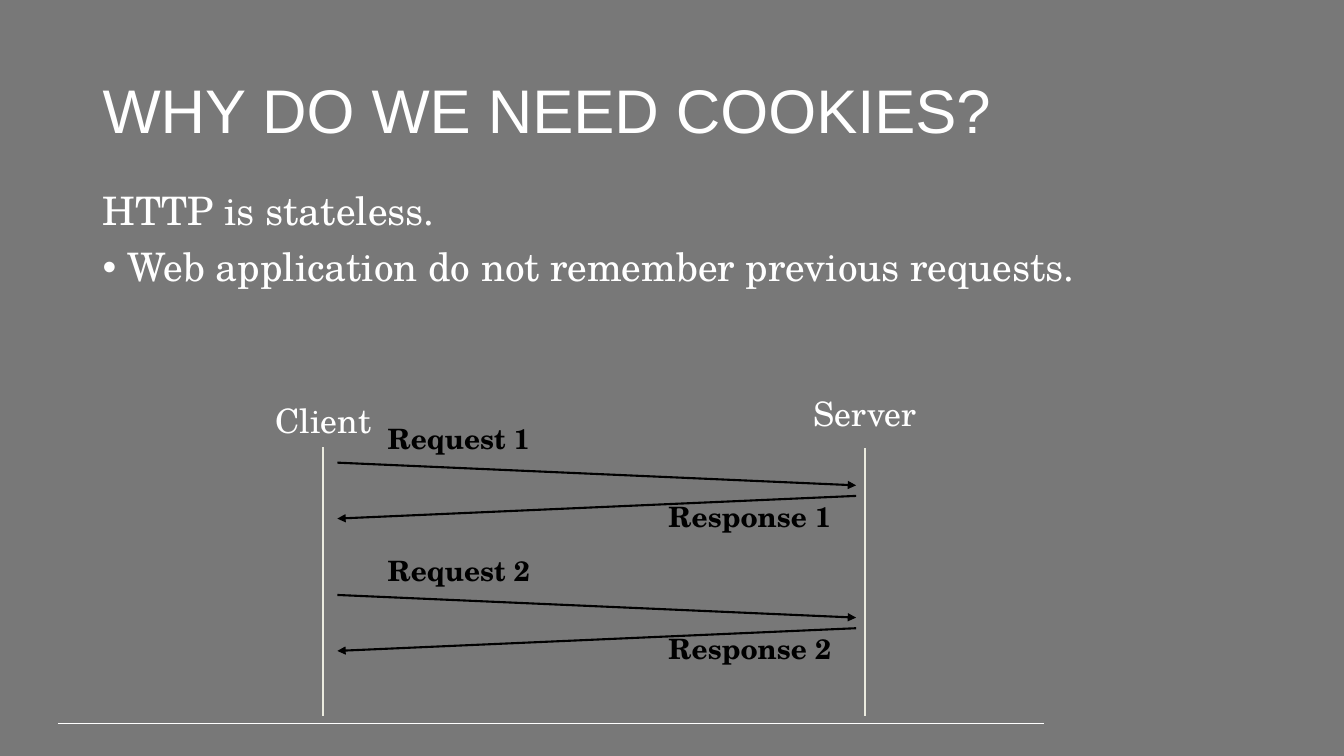
"""Build the slide that shows why a stateless protocol needs cookies."""
from dataclasses import dataclass

from lxml import etree
from pptx import Presentation
from pptx.dml.color import RGBColor
from pptx.enum.shapes import MSO_CONNECTOR
from pptx.enum.text import MSO_ANCHOR, PP_ALIGN
from pptx.oxml.ns import qn
from pptx.util import Inches, Pt

STRAIGHT = MSO_CONNECTOR.STRAIGHT
LEFT, CENTER = PP_ALIGN.LEFT, PP_ALIGN.CENTER
TOP, MIDDLE = MSO_ANCHOR.TOP, MSO_ANCHOR.MIDDLE
SANS, SERIF = "Arial", "TeX Gyre Schola"
GRAY, WHITE, BLACK, IVORY = "787878", "FFFFFF", "000000", "EBEBDF"

deck = Presentation()
deck.slide_width, deck.slide_height = Inches(13.33), Inches(7.5)
page = deck.slides.add_slide(deck.slide_layouts[6])


@dataclass
class Area:
    """Position and size in percent of the slide."""
    left: float
    top: float
    width: float
    height: float


@dataclass
class Lifeline:
    name: str
    x: float
    label_top: float
    line_top: float


@dataclass
class Message:
    name: str
    start_x: float
    end_x: float
    drop: float
    label: Area


def across(percent: float) -> int:
    return round(deck.slide_width * percent / 100)


def down(percent: float) -> int:
    return round(deck.slide_height * percent / 100)


def color(code: str) -> RGBColor:
    return RGBColor.from_string(code)


def add_bullet(para, indent: float) -> None:
    properties = para._p.get_or_add_pPr()
    properties.set("marL", str(Inches(indent)))
    properties.set("indent", str(-Inches(indent)))
    etree.SubElement(properties, qn("a:buFont")).set("typeface", "Arial")
    etree.SubElement(properties, qn("a:buChar")).set("char", "•")


def add_text(text: str, area: Area, *, size: float, font: str = SERIF,
             ink: str = WHITE, bold: bool = False, align=LEFT, anchor=TOP,
             bullets: bool = False) -> None:
    box = page.shapes.add_textbox(across(area.left), down(area.top),
                                  across(area.width), down(area.height))
    frame = box.text_frame
    frame.word_wrap = True
    frame.vertical_anchor = anchor
    frame.text = text
    for number, para in enumerate(frame.paragraphs):
        para.alignment = align
        para.line_spacing = 0.9
        if number:
            para.space_before = Pt(10)
        if number and bullets:
            add_bullet(para, 0.25)
        for span in para.runs:
            span.font.name = font
            span.font.size = Pt(size)
            span.font.bold = bold
            span.font.color.rgb = color(ink)


def add_line(start: tuple[float, float], end: tuple[float, float], ink: str,
             weight: float = 1.5, arrow: bool = False) -> None:
    line = page.shapes.add_connector(STRAIGHT, across(start[0]), down(start[1]),
                                     across(end[0]), down(end[1]))
    line.line.color.rgb = color(ink)
    line.line.width = Pt(weight)
    if arrow:
        outline = line.line._get_or_add_ln()
        etree.SubElement(outline, qn("a:tailEnd")).set("type", "triangle")
    etree.SubElement(line._element.spPr, qn("a:effectLst"))


def add_lifeline(lifeline: Lifeline) -> None:
    width = 13.1
    add_text(lifeline.name,
             Area(lifeline.x - width / 2, lifeline.label_top, width, 6.1),
             size=24, align=CENTER)
    add_line((lifeline.x, lifeline.line_top), (lifeline.x, 94.7), IVORY)


def add_message(message: Message, number: int, top: float) -> None:
    start = top + message.drop
    add_line((message.start_x, start), (message.end_x, start + 3), BLACK, arrow=True)
    label = message.label
    add_text(f"{message.name} {number}",
             Area(label.left, top + label.top, label.width, label.height),
             size=20, ink=BLACK, bold=True)


LIFELINES = [Lifeline("Client", 24.05, 52.8, 59.1),
             Lifeline("Server", 64.35, 51.9, 59.3)]
MESSAGES = [Message("Request", 25.1, 63.7, 0, Area(28.1, -5.6, 27.6, 5.3)),
            Message("Response", 63.7, 25.1, 4.4, Area(49, 4.7, 15.7, 5.3))]
FIRST_EXCHANGE, EXCHANGE_STEP = 61.2, 17.5


def main() -> None:
    page.background.fill.solid()
    page.background.fill.fore_color.rgb = color(GRAY)
    add_line((4.3, 95.7), (77.7, 95.7), WHITE, weight=0.75)
    add_text("WHY DO WE NEED COOKIES?", Area(6.9, 5.3, 86.2, 19.3),
             size=44, font=SANS, anchor=MIDDLE)
    add_text("HTTP is stateless.\nWeb application do not remember previous requests.",
             Area(6.9, 24.7, 85.6, 14.5), size=28, bullets=True)
    for lifeline in LIFELINES:
        add_lifeline(lifeline)
    for exchange in range(2):
        for message in MESSAGES:
            add_message(message, exchange + 1,
                        FIRST_EXCHANGE + exchange * EXCHANGE_STEP)
    deck.save("out.pptx")


if __name__ == "__main__":
    main()
